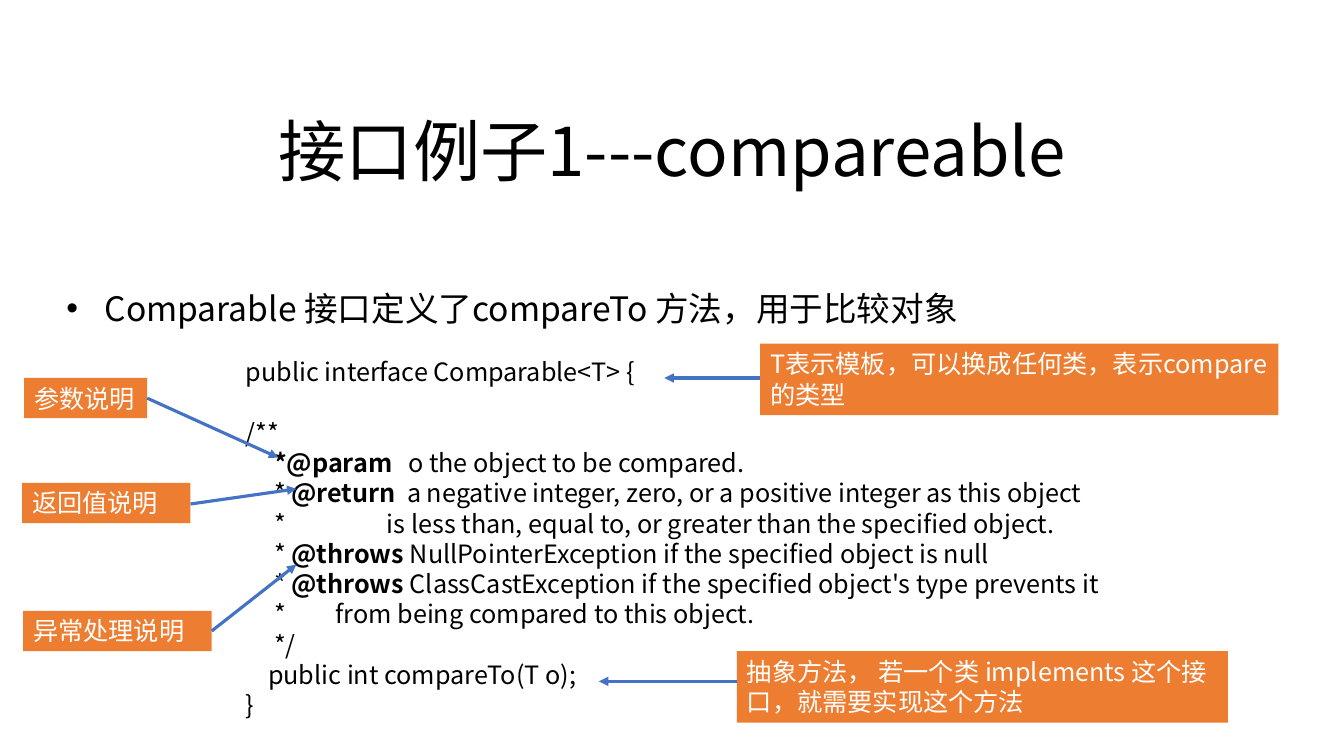
from lxml import etree
from pptx import Presentation
from pptx import util as u
from pptx.dml.color import RGBColor
from pptx.enum import shapes, text
from pptx.oxml.ns import qn

theme = {
    "font": "Noto Sans CJK SC",
    "ink": RGBColor.from_string("000000"),
    "paper": RGBColor.from_string("FFFFFF"),
    "label": RGBColor.from_string("ED7D31"),
    "arrow": RGBColor.from_string("4472C4"),
    "title": 48,
    "point": 24,
    "body": 18,
    "leading": 1.2,
    "arrow_width": 2.25,
}

presentation = Presentation()
presentation.slide_width = u.Inches(13.33)
presentation.slide_height = u.Inches(7.5)
slide = presentation.slides.add_slide(presentation.slide_layouts[6])
column = presentation.slide_width / 13.33
row = presentation.slide_height / 7.5


def place(left, top, width, height):
    return [round(left * column), round(top * row), round(width * column), round(height * row)]


def format_paragraph(paragraph, size, color, margin=0, hang=0):
    paragraph.line_spacing = u.Pt(size * theme["leading"])
    properties = paragraph._p.get_or_add_pPr()
    properties.set("marL", str(round(margin * column)))
    properties.set("indent", str(round(-hang * column)))
    for run in paragraph.runs:
        run.font.size = u.Pt(size)
        run.font.color.rgb = color
        run.font.name = theme["font"]
        etree.SubElement(run.font._element, qn("a:ea")).set("typeface", theme["font"])


title = slide.shapes.add_textbox(*place(1.89, 1.04, 9.56, 0.91))
title.text_frame.word_wrap = True
title.text_frame.text = "接口例子1---compareable"
heading = title.text_frame.paragraphs[0]
heading.alignment = text.PP_ALIGN.CENTER
format_paragraph(heading, theme["title"], theme["ink"])

point = slide.shapes.add_textbox(*place(0.56, 2.81, 9.36, 0.5))
point.text_frame.word_wrap = True
point.text_frame.text = "Comparable 接口定义了compareTo 方法，用于比较对象"
statement = point.text_frame.paragraphs[0]
format_paragraph(statement, theme["point"], theme["ink"], 0.38, 0.38)
statement_properties = statement._p.get_or_add_pPr()
etree.SubElement(statement_properties, qn("a:buFont")).set("typeface", "Arial")
etree.SubElement(statement_properties, qn("a:buChar")).set("char", "•")

comment = 0.28
code_lines = [
    (0, 0, ["public interface Comparable<T> {"]),
    (0, 0, ["/**"]),
    (1.61, 1.61 - comment, ["", "*@param", "\to the object to be compared."]),
    (1.6, 1.6 - comment, ["* ", "@return", "\ta negative integer, zero, or a positive integer as this object"]),
    (1.4, 1.4 - comment, ["*\tis less than, equal to, or greater than the specified object."]),
    (comment, 0, ["* ", "@throws ", "NullPointerException if the specified object is null"]),
    (comment, 0, ["* ", "@throws ", "ClassCastException if the specified object's type prevents it"]),
    (0.89, 0.89 - comment, ["*\tfrom being compared to this object."]),
    (comment, 0, ["*/"]),
    (0.22, 0, ["public int compareTo(T o);"]),
    (0, 0, ["}"]),
]
code = slide.shapes.add_textbox(*place(2.34, 3.49, 9.1, 4.04))
code.text_frame.word_wrap = True
code.text_frame.text = "\n".join("" for line in code_lines)
for paragraph, (margin, hang, pieces) in zip(code.text_frame.paragraphs, code_lines):
    for index, piece in enumerate(pieces):
        if piece:
            run = paragraph.add_run()
            run.text = piece
            run.font.bold = index == 1
    format_paragraph(paragraph, theme["body"], theme["ink"], margin, hang)
code.text_frame.paragraphs[1].space_before = u.Pt(theme["body"] * theme["leading"])

labels = [
    ("参数说明", (0.24, 3.75, 1.22, 0.4), (1.46, 3.95), (2.76, 4.54)),
    ("返回值说明", (0.22, 4.79, 1.67, 0.4), (1.89, 5), (2.94, 4.85)),
    ("异常处理说明", (0.23, 6.06, 1.87, 0.4), (2.1, 6.26), (2.94, 5.6)),
    ("抽象方法， 若一个类 implements 这个接口，就需要实现这个方法",
     (7.31, 6.46, 4.87, 0.71), (7.31, 6.76), (5.94, 6.76)),
    ("T表示模板，可以换成任何类，表示compare的类型",
     (7.54, 3.41, 5.14, 0.71), (7.54, 3.75), (6.59, 3.75)),
]
for wording, area, start, end in labels:
    label = slide.shapes.add_shape(shapes.MSO_SHAPE.RECTANGLE, *place(*area))
    label.shadow.inherit = False
    label.fill.solid()
    label.fill.fore_color.rgb = theme["label"]
    label.line.fill.background()
    label.text_frame.word_wrap = True
    label.text_frame.vertical_anchor = text.MSO_ANCHOR.TOP
    label.text_frame.text = wording
    label.text_frame.paragraphs[0].alignment = text.PP_ALIGN.LEFT
    format_paragraph(label.text_frame.paragraphs[0], theme["body"], theme["paper"])

    arrow = slide.shapes.add_connector(shapes.MSO_CONNECTOR.STRAIGHT, *place(*start, *end))
    arrow.line.color.rgb = theme["arrow"]
    arrow.line.width = u.Pt(theme["arrow_width"])
    etree.SubElement(arrow.line._get_or_add_ln(), qn("a:tailEnd")).set("type", "triangle")
    etree.SubElement(arrow._element.spPr, qn("a:effectLst"))

presentation.save("out.pptx")
